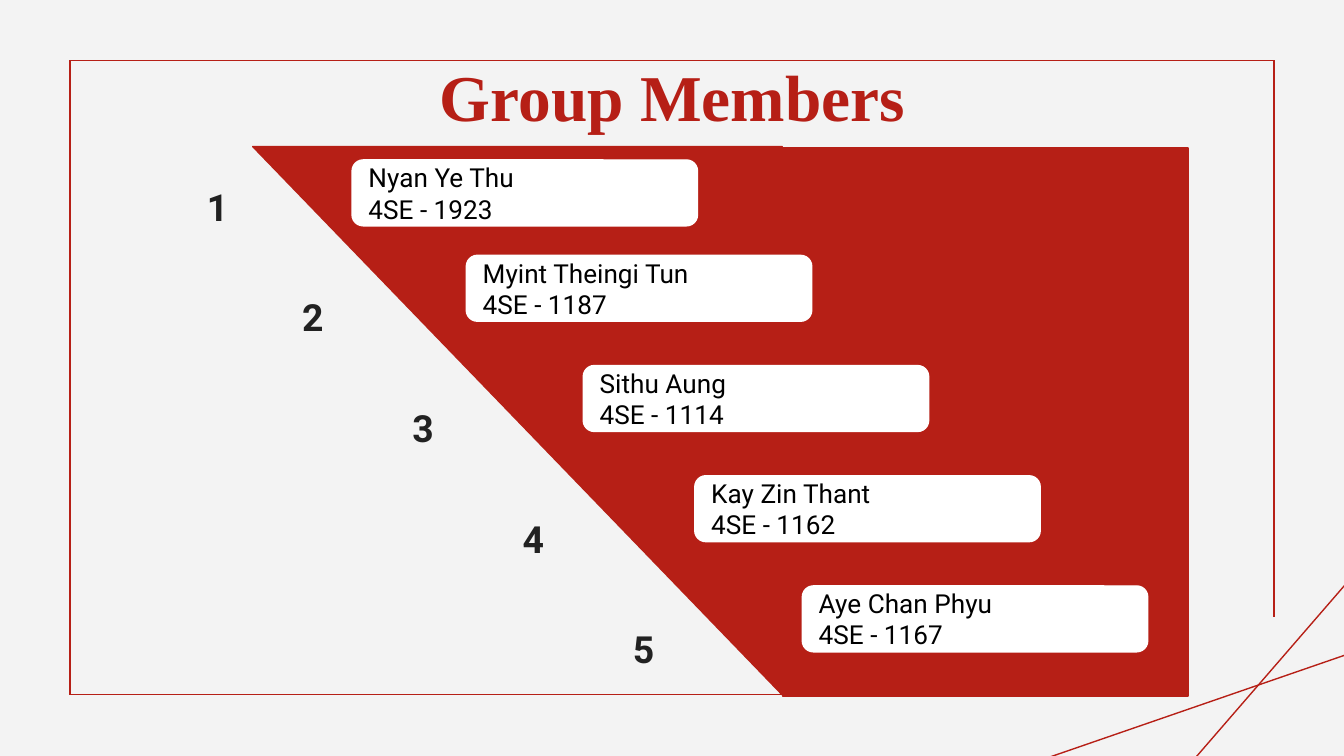
from pptx import Presentation
from pptx.dml.color import RGBColor
from pptx.enum.shapes import MSO_CONNECTOR, MSO_SHAPE
from pptx.enum.text import MSO_ANCHOR, PP_ALIGN
from pptx.oxml.ns import qn
from pptx.util import Inches, Pt
from lxml.etree import SubElement

RED = RGBColor(0xB6, 0x1F, 0x16)
WHITE = RGBColor(0xFF, 0xFF, 0xFF)
BLACK = RGBColor(0, 0, 0)
DARK = RGBColor(0x21, 0x21, 0x21)
PAPER = RGBColor(0xF3, 0xF3, 0xF3)

# Content
HEADING = "Group Members"
# name, student number, left of numeral, left and top of card
MEMBERS = [
    ("Nyan Ye Thu", "4SE - 1923", 1.44, 2.62, 1.19),
    ("Myint Theingi Tun", "4SE - 1187", 2.15, 3.47, 1.9),
    ("Sithu Aung", "4SE - 1114", 2.97, 4.34, 2.72),
    ("Kay Zin Thant", "4SE - 1162", 3.79, 5.17, 3.54),
    ("Aye Chan Phyu", "4SE - 1167", 4.61, 5.97, 4.36),
]
NUMERAL_TOP, NUMERAL_BOTTOM = 1.27, 4.56
NUMERAL_STEP = (NUMERAL_BOTTOM - NUMERAL_TOP) / (len(MEMBERS) - 1)

# Frame and corner lines: x1, y1, x2, y2
LEFT, TOP, RIGHT, BOTTOM = 0.52, 0.45, 9.48, 5.17
LINES = [
    (LEFT, TOP, RIGHT, TOP),
    (LEFT, BOTTOM, 8.49, BOTTOM),
    (RIGHT, TOP, RIGHT, 4.59),
    (LEFT, TOP, LEFT, BOTTOM),
    (11.47, 4.37, 7.27, 5.82),
    (7.82, 6.88, 10.91, 3.31),
]

# Text formats
HEADING_FONT = {"name": "Times New Roman", "size": Pt(35), "bold": True}
NUMERAL_FONT = {"name": "Roboto", "size": Pt(20), "bold": True}
CARD_FONT = {"name": "Roboto", "size": Pt(14), "bold": False}


def write(shape, lines, font, color, anchor=MSO_ANCHOR.TOP, align=PP_ALIGN.LEFT):
    frame = shape.text_frame
    frame.text = "\n".join(lines)
    settings = {"word_wrap": True, "vertical_anchor": anchor}
    for side in ("left", "right", "top", "bottom"):
        settings[f"margin_{side}"] = Inches(0.1)
    for key, value in settings.items():
        setattr(frame, key, value)
    for paragraph in frame.paragraphs:
        paragraph.alignment = align
        for key, value in font.items():
            setattr(paragraph.font, key, value)
        paragraph.font.color.rgb = color


def add_block(slide, kind, box, color):
    block = slide.shapes.add_shape(kind, *map(Inches, box))
    block.shadow.inherit = False
    block.fill.solid()
    block.fill.fore_color.rgb = color
    block.line.color.rgb = color
    block.line.width = Pt(0.75)
    return block


prs = Presentation()
prs.slide_width, prs.slide_height = Inches(10), Inches(10 * 9 / 16)
slide = prs.slides.add_slide(prs.slide_layouts[5])
slide.background.fill.solid()
slide.background.fill.fore_color.rgb = PAPER

# Frame and crossing lines
for ends in LINES:
    line = slide.shapes.add_connector(MSO_CONNECTOR.STRAIGHT, *map(Inches, ends))
    line.line.color.rgb = RED
    line.line.width = Pt(0.75)
    SubElement(line._element.spPr, qn("a:effectLst"))

# Title
title = slide.shapes.title
title_box = {"left": 0.79, "top": 0.32, "width": 8.43, "height": 0.63}
for side, length in title_box.items():
    setattr(title, side, Inches(length))
write(title, [HEADING], HEADING_FONT, RED, align=PP_ALIGN.CENTER)

# Numerals down the slope
for i, (_, _, numeral_left, _, _) in enumerate(MEMBERS):
    numeral_top = NUMERAL_TOP + i * NUMERAL_STEP
    numeral = slide.shapes.add_textbox(
        *map(Inches, (numeral_left, numeral_top, 0.28, 0.63)))
    write(numeral, [str(i + 1)], NUMERAL_FONT, DARK)

# Red panel with a slanted left edge
slant = add_block(slide, MSO_SHAPE.RIGHT_TRIANGLE, (1.88, 1.09, 3.94, 4.08), RED)
slant.rotation = 180
add_block(slide, MSO_SHAPE.RECTANGLE, (5.82, 1.1, 3.02, 4.08), RED)

# Member cards, lowest one at the back
for name, student_no, _, card_left, card_top in reversed(MEMBERS):
    card = add_block(slide, MSO_SHAPE.ROUNDED_RECTANGLE,
                     (card_left, card_top, 2.57, 0.49), WHITE)
    write(card, [name, student_no], CARD_FONT, BLACK, anchor=MSO_ANCHOR.MIDDLE)

prs.save("out.pptx")
